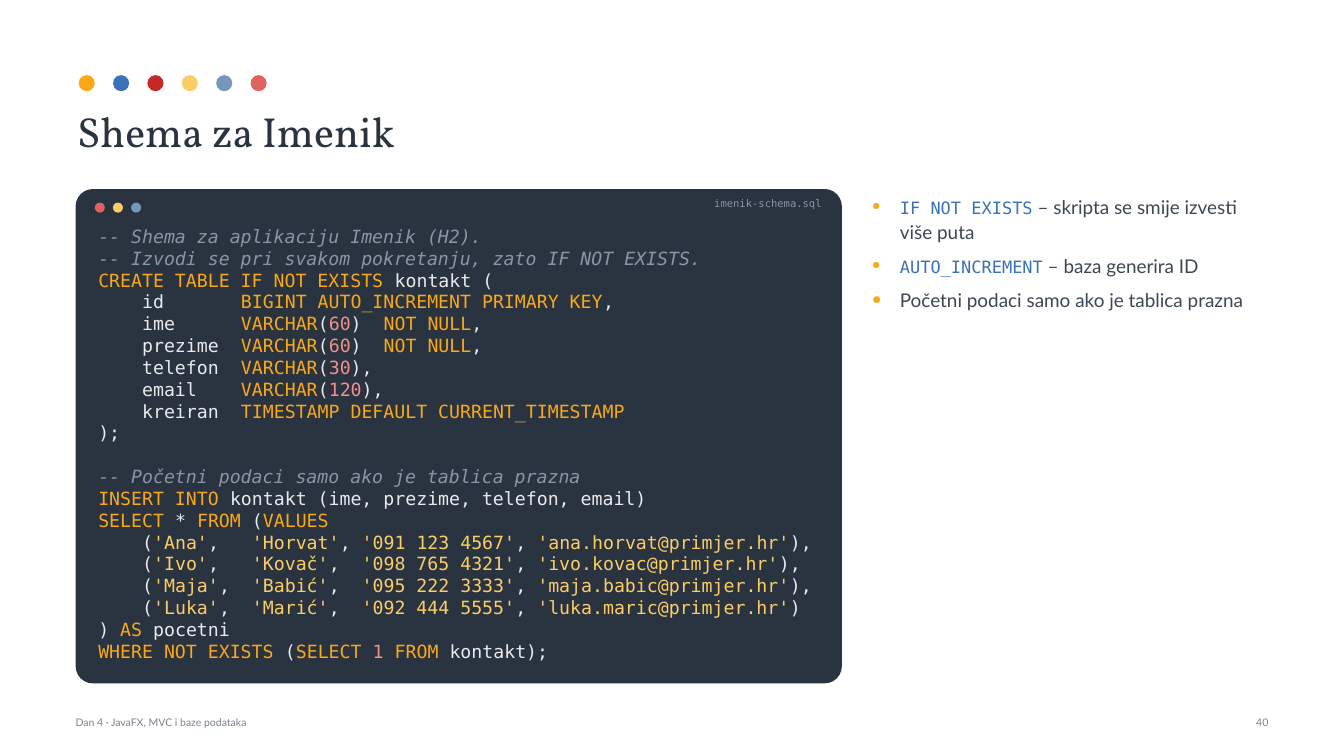
from itertools import groupby

from lxml import etree
from pptx import Presentation
from pptx.dml.color import RGBColor
from pptx.enum.shapes import MSO_SHAPE as SHAPE
from pptx.enum.text import PP_ALIGN as ALIGN
from pptx.oxml.ns import qn
from pptx.util import Inches, Pt

COLORS = {
    "orange": "FAA818", "blue": "3A72B8", "red": "C52828",
    "yellow": "FACD67", "steel": "7697BC", "coral": "DE625E",
    "ink": "2A3340", "body": "3D4654", "footer": "7A8290",
    "comment": "8C95A6", "plain": "E8EAED", "number": "F2908C",
}
SYNTAX = {"comment": "comment", "keyword": "orange", "number": "number",
          "string": "yellow", "plain": "plain"}
SERIF, SANS, MONO = "Vollkorn", "Lato", "DejaVu Sans Mono"

CODE = """\
-- Shema za aplikaciju Imenik (H2).
-- Izvodi se pri svakom pokretanju, zato IF NOT EXISTS.
CREATE TABLE IF NOT EXISTS kontakt (
    id       BIGINT AUTO_INCREMENT PRIMARY KEY,
    ime      VARCHAR(60)  NOT NULL,
    prezime  VARCHAR(60)  NOT NULL,
    telefon  VARCHAR(30),
    email    VARCHAR(120),
    kreiran  TIMESTAMP DEFAULT CURRENT_TIMESTAMP
);

-- Početni podaci samo ako je tablica prazna
INSERT INTO kontakt (ime, prezime, telefon, email)
SELECT * FROM (VALUES
    ('Ana',   'Horvat', '091 123 4567', 'ana.horvat@primjer.hr'),
    ('Ivo',   'Kovač',  '098 765 4321', 'ivo.kovac@primjer.hr'),
    ('Maja',  'Babić',  '095 222 3333', 'maja.babic@primjer.hr'),
    ('Luka',  'Marić',  '092 444 5555', 'luka.maric@primjer.hr')
) AS pocetni
WHERE NOT EXISTS (SELECT 1 FROM kontakt);"""

# Each point: leading code term, then plain text
POINTS = [
    ("IF NOT EXISTS", " – skripta se smije izvesti više puta"),
    ("AUTO_INCREMENT", " – baza generira ID"),
    ("", "Početni podaci samo ako je tablica prazna"),
]


def rgb(name):
    return RGBColor.from_string(COLORS[name])


def add_filled(shapes, kind, x, y, w, h, color):
    sp = shapes.add_shape(kind, Inches(x), Inches(y), Inches(w), Inches(h))
    sp.shadow.inherit = False
    sp.fill.solid()
    sp.fill.fore_color.rgb = rgb(color)
    sp.line.fill.background()
    return sp


def add_dots(shapes, x, y, size, pitch, colors):
    for i, color in enumerate(colors):
        add_filled(shapes, SHAPE.OVAL, x + i * pitch, y, size, size, color)


def add_textbox(slide, x, y, w, h, inset=0):
    tf = slide.shapes.add_textbox(Inches(x), Inches(y), Inches(w), Inches(h)).text_frame
    tf.word_wrap = True
    tf.margin_left = tf.margin_right = Inches(inset)
    tf.margin_top = tf.margin_bottom = Inches(inset)
    return tf


def add_run(p, text, size, font, color, italic=False):
    r = p.add_run()
    r.text = text
    r.font.size, r.font.name, r.font.italic = Pt(size), font, italic
    r.font.color.rgb = rgb(color)


def add_label(slide, x, y, w, h, text, size, font, color, align=ALIGN.LEFT, inset=0):
    p = add_textbox(slide, x, y, w, h, inset).paragraphs[0]
    p.alignment = align
    add_run(p, text, size, font, color)


def next_paragraph(tf, i):
    return tf.add_paragraph() if i else tf.paragraphs[0]


def tokenize(line):
    """Split a line of SQL into (kind, text); a space joins the token before it."""
    if line.startswith("--"):
        return [("comment", line)]
    kinds, kind, quoted = [], "plain", False
    for ch in line:
        if ch == "'":
            kind, quoted = "string", not quoted
        elif quoted:
            kind = "string"
        elif ch.isupper() or ch == "_":
            kind = "keyword"
        elif ch.isdigit():
            kind = "number"
        elif ch != " " or kind == "string":
            kind = "plain"
        kinds.append((kind, ch))
    return [(k, "".join(ch for _, ch in group))
            for k, group in groupby(kinds, key=lambda pair: pair[0])]


def add_header(slide, x, y, w):
    group = slide.shapes.add_group_shape()
    add_dots(group.shapes, x + 0.06, y, 0.32, 0.682,
             ["orange", "blue", "red", "yellow", "steel", "coral"])
    add_label(slide, x - 0.07, y + 0.51, w, 1.2, "Shema za Imenik",
              60, SERIF, "ink", inset=0.1)


def add_code_window(slide, x, y, w, h):
    panel = add_filled(slide.shapes, SHAPE.ROUNDED_RECTANGLE, x, y, w, h, "ink")
    panel.adjustments[0] = 0.035
    # Window buttons and file name
    add_dots(slide.shapes, x + 0.38, y + 0.27, 0.2, 0.36, ["coral", "yellow", "steel"])
    add_label(slide, x + 2, y + 0.15, w - 2.4, 0.45, "imenik-schema.sql",
              15, MONO, "comment", ALIGN.RIGHT)
    # Highlighted code
    tf = add_textbox(slide, x + 0.45, y + 0.72, w - 0.6, h - 0.77)
    for i, line in enumerate(CODE.splitlines()):
        p = next_paragraph(tf, i)
        for kind, text in tokenize(line or " "):
            add_run(p, text, 26, MONO, SYNTAX[kind], italic=kind == "comment")


def set_bullet(p, char, color, percent, indent):
    pPr = p._p.get_or_add_pPr()
    pPr.set("marL", str(Inches(indent)))
    pPr.set("indent", str(-Inches(indent)))
    clr = etree.SubElement(pPr, qn("a:buClr"))
    etree.SubElement(clr, qn("a:srgbClr"), val=COLORS[color])
    etree.SubElement(pPr, qn("a:buSzPct"), val=str(percent * 1000))
    etree.SubElement(pPr, qn("a:buChar"), char=char)


def add_points(slide, x, y, w, h):
    tf = add_textbox(slide, x, y, w, h)
    for i, (term, text) in enumerate(POINTS):
        p = next_paragraph(tf, i)
        set_bullet(p, "●", "orange", 62, 0.55)
        p.line_spacing, p.space_after = 1.08, Pt(14)
        if term:
            add_run(p, term, 24.3, MONO, "blue")
        add_run(p, text, 27, SANS, "body")


def add_footer(slide, x, y, w):
    add_label(slide, x, y, 16, 0.45, "Dan 4 · JavaFX, MVC i baze podataka",
              15, SANS, "footer")
    add_label(slide, x + w - 2.5, y, 2.5, 0.45, "40", 15, SANS, "footer", ALIGN.RIGHT)


def main():
    prs = Presentation()
    prs.slide_width, prs.slide_height = Inches(26.66), Inches(15)
    slide = prs.slides.add_slide(prs.slide_layouts[6])
    slide.background.fill.solid()
    slide.background.fill.fore_color.rgb = RGBColor.from_string("FFFFFF")
    add_header(slide, 1.5, 1.49, 23.8)
    add_code_window(slide, 1.5, 3.75, 15.2, 9.81)
    add_points(slide, 17.3, 3.85, 7.86, 9.9)
    add_footer(slide, 1.5, 14.2, 23.66)
    prs.save("out.pptx")


if __name__ == "__main__":
    main()
